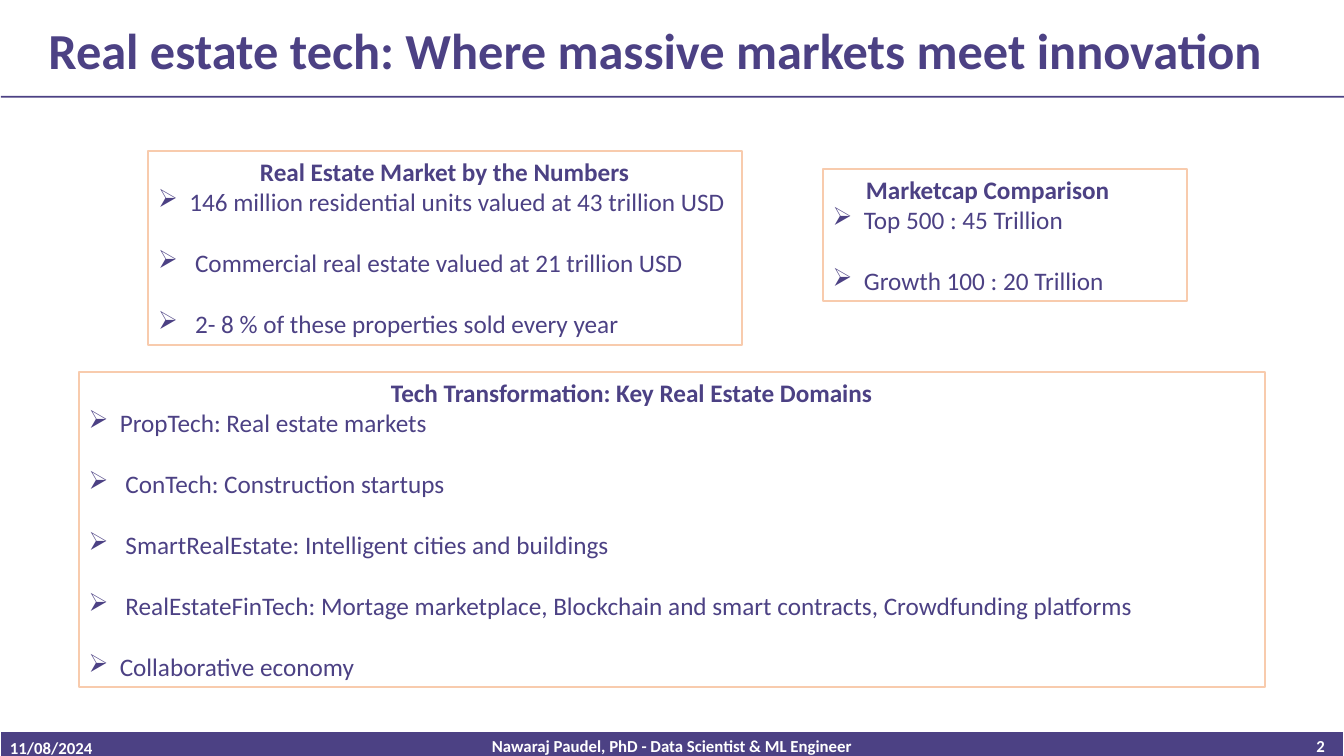
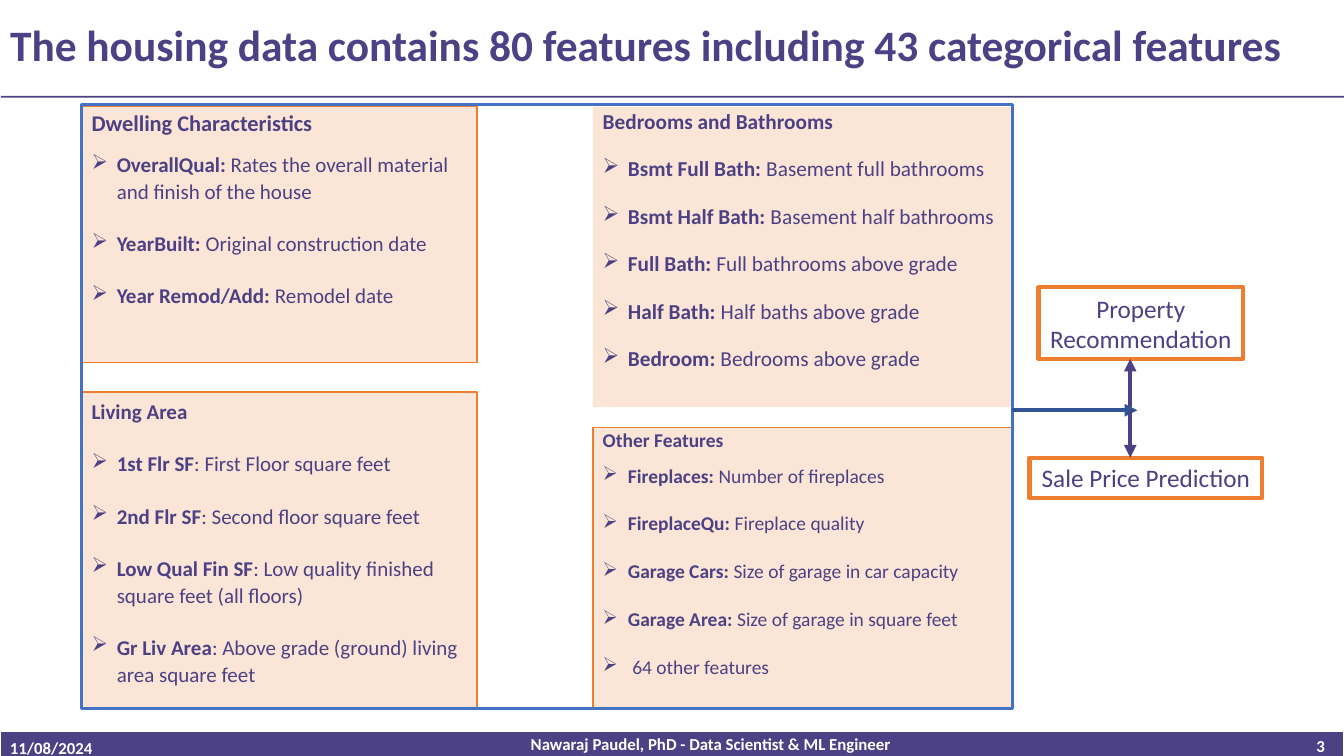
"""Builds two slides on real estate technology and housing data features."""
from dataclasses import dataclass
from typing import NamedTuple

from lxml.etree import SubElement
from pptx import Presentation
from pptx.dml.color import RGBColor
from pptx.enum.shapes import MSO_CONNECTOR, MSO_SHAPE
from pptx.enum.text import MSO_ANCHOR as Anchor, MSO_AUTO_SIZE as AutoSize, PP_ALIGN as Align
from pptx.oxml.ns import qn
from pptx.slide import Slide
from pptx.util import Emu, Pt

PX = 9144
FONT = "Calibri"
PURPLE = RGBColor(0x4C, 0x41, 0x84)
WHITE = RGBColor(0xFF, 0xFF, 0xFF)
PEACH = RGBColor(0xF8, 0xCB, 0xAD)
CREAM = RGBColor(0xFB, 0xE5, 0xD6)
ORANGE = RGBColor(0xED, 0x7D, 0x31)
BLUE = RGBColor(0x44, 0x72, 0xC4)
NAVY = RGBColor(0x2F, 0x55, 0x97)

DATE = "11/08/2024"
AUTHOR = "Nawaraj Paudel, PhD - Data Scientist & ML Engineer"


class Box(NamedTuple):
    left: int
    top: int
    width: int
    height: int

    def emu(self) -> list[Emu]:
        return [Emu(value * PX) for value in self]


class Item(NamedTuple):
    label: str
    text: str


@dataclass(frozen=True)
class Style:
    heading_size: float
    item_size: float
    indent: int
    heading_spacing: float = 1.0
    item_spacing: float = 1.0
    heading_after: float = 0
    item_before: float = 0
    item_after: float = 0


@dataclass(frozen=True)
class Panel:
    box: Box
    heading: str
    items: list[Item]
    style: Style
    fill: RGBColor
    border: RGBColor | None
    border_width: float = 1
    heading_indent: int = 0


@dataclass(frozen=True)
class Arrow:
    start: tuple[int, int]
    end: tuple[int, int]
    color: RGBColor


FACTS = Style(18, 18, indent=31, item_after=22)
DWELLING = Style(16, 15, 25, 0.9, 1.07, 0, 10, 8)
BATHROOMS = Style(15.2, 15.2, 25, 0.87, 0.87, 8, 10, 8)
LIVING = Style(15, 15, 25, 1.07, 1.07, 8, 10, 8)
OTHER = Style(13.9, 13.9, 25, 0.8, 0.97, 0, 10, 8)

MARKET_PANELS = [
    Panel(Box(147, 150, 589, 192), "Real Estate Market by the Numbers", [
        Item("", "146 million residential units valued at 43 trillion USD"),
        Item("", " Commercial real estate valued at 21 trillion USD"),
        Item("", " 2- 8 % of these properties sold every year"),
    ], FACTS, WHITE, PEACH, 1.5, 101),
    Panel(Box(816, 168, 361, 131), "Marketcap Comparison", [
        Item("", "Top 500 : 45 Trillion"),
        Item("", "Growth 100 : 20 Trillion"),
    ], FACTS, WHITE, PEACH, 1.5, 33),
    Panel(Box(78, 369, 1177, 313), "Tech Transformation: Key Real Estate Domains", [
        Item("", "PropTech: Real estate markets"),
        Item("", " ConTech: Construction startups"),
        Item("", " SmartRealEstate: Intelligent cities and buildings"),
        Item("", " RealEstateFinTech: Mortage marketplace, Blockchain and smart contracts, "
                 "Crowdfunding platforms"),
        Item("", "Collaborative economy"),
    ], FACTS, WHITE, PEACH, 1.5, 300),
]

FEATURE_PANELS = [
    Panel(Box(81, 106, 392, 254), "Dwelling Characteristics", [
        Item("OverallQual: ", "Rates the overall material and finish of the house"),
        Item("YearBuilt: ", "Original construction date"),
        Item("Year Remod/Add: ", "Remodel date"),
    ], DWELLING, CREAM, ORANGE),
    Panel(Box(588, 106, 416, 298), "Bedrooms and Bathrooms", [
        Item("Bsmt Full Bath: ", "Basement full bathrooms"),
        Item("Bsmt Half Bath: ", "Basement half bathrooms"),
        Item("Full Bath: ", "Full bathrooms above grade"),
        Item("Half Bath: ", "Half baths above grade"),
        Item("Bedroom:", " Bedrooms above grade"),
    ], BATHROOMS, CREAM, None),
    Panel(Box(81, 389, 392, 315), "Living Area", [
        Item("1st Flr SF", ": First Floor square feet"),
        Item("2nd Flr SF", ": Second floor square feet"),
        Item("Low Qual Fin SF", ": Low quality finished square feet (all floors)"),
        Item("Gr Liv Area", ": Above grade (ground) living area square feet"),
    ], LIVING, CREAM, ORANGE),
    Panel(Box(588, 424, 416, 280), "Other Features", [
        Item("Fireplaces:", " Number of fireplaces"),
        Item("FireplaceQu:", " Fireplace quality"),
        Item("Garage Cars: ", "Size of garage in car capacity"),
        Item("Garage Area: ", "Size of garage in square feet"),
        Item("", " 64 other features"),
    ], OTHER, CREAM, ORANGE),
]

OUTCOMES = [
    (Box(1021, 454, 231, 40), "Sale Price Prediction"),
    (Box(1030, 285, 203, 71), "Property Recommendation"),
]

ARROWS = [
    Arrow((1004, 407), (1128, 407), NAVY),
    Arrow((1121, 407), (1121, 454), PURPLE),
    Arrow((1121, 404), (1121, 356), PURPLE),
]


def set_font(paragraph, size: float, color: RGBColor = PURPLE, bold: bool = False) -> None:
    font = paragraph.font
    font.name, font.size, font.bold = FONT, Pt(size), bold
    font.color.rgb = color


def set_indent(paragraph, left: int, first: int = 0) -> None:
    properties = paragraph._p.get_or_add_pPr()
    properties.set("marL", str(left * PX))
    properties.set("indent", str(first * PX))


def paint(shape, fill: RGBColor | None, border: RGBColor | None, width: float = 1) -> None:
    if fill is None:
        shape.fill.background()
    else:
        shape.fill.solid()
        shape.fill.fore_color.rgb = fill
    if border is None:
        shape.line.fill.background()
    else:
        shape.line.color.rgb = border
        shape.line.width = Pt(width)


def add_rectangle(slide: Slide, box: Box, fill: RGBColor | None,
                  border: RGBColor | None, width: float = 1) -> None:
    shape = slide.shapes.add_shape(MSO_SHAPE.RECTANGLE, *box.emu())
    shape.shadow.inherit = False
    paint(shape, fill, border, width)


def add_text(slide: Slide, box: Box, text: str, size: float, color: RGBColor = PURPLE,
             bold: bool = False, align: Align = Align.LEFT):
    shape = slide.shapes.add_textbox(*box.emu())
    frame = shape.text_frame
    frame.word_wrap = True
    frame.vertical_anchor = Anchor.MIDDLE
    paragraph = frame.paragraphs[0]
    paragraph.text = text
    paragraph.alignment = align
    set_font(paragraph, size, color, bold)
    return shape


def add_item(frame, item: Item, style: Style) -> None:
    paragraph = frame.add_paragraph()
    set_indent(paragraph, style.indent, -style.indent)
    SubElement(paragraph._p.get_or_add_pPr(), qn("a:buChar")).set("char", "➢")
    paragraph.line_spacing = style.item_spacing
    paragraph.space_before = Pt(style.item_before)
    paragraph.space_after = Pt(style.item_after)
    set_font(paragraph, style.item_size)
    if item.label:
        label = paragraph.add_run()
        label.text = item.label
        label.font.bold = True
    paragraph.add_run().text = item.text


def add_panel(slide: Slide, panel: Panel) -> None:
    style = panel.style
    shape = add_text(slide, panel.box, panel.heading, style.heading_size, bold=True)
    paint(shape, panel.fill, panel.border, panel.border_width)
    frame = shape.text_frame
    frame.vertical_anchor = Anchor.TOP
    heading = frame.paragraphs[0]
    set_indent(heading, panel.heading_indent)
    heading.line_spacing = style.heading_spacing
    heading.space_after = Pt(style.heading_after)
    for item in panel.items:
        add_item(frame, item, style)


def add_arrow(slide: Slide, arrow: Arrow) -> None:
    ends = [Emu(value * PX) for value in (*arrow.start, *arrow.end)]
    connector = slide.shapes.add_connector(MSO_CONNECTOR.STRAIGHT, *ends)
    connector.line.color.rgb = arrow.color
    connector.line.width = Pt(3)
    properties = connector._element.spPr
    SubElement(properties.find(qn("a:ln")), qn("a:tailEnd")).set("type", "triangle")
    SubElement(properties, qn("a:effectLst"))


def add_base_slide(presentation, title: str, title_box: Box, title_size: float,
                   author_box: Box, number: int) -> Slide:
    slide = presentation.slides.add_slide(presentation.slide_layouts[5])
    add_rectangle(slide, Box(1, 95, 1333, 2), PURPLE, None)
    add_rectangle(slide, Box(0, 726, 1333, 29), PURPLE, WHITE)
    shape = slide.shapes.title
    shape.left, shape.top, shape.width, shape.height = title_box.emu()
    frame = shape.text_frame
    frame.text = title
    frame.word_wrap = True
    frame.auto_size = AutoSize.NONE
    frame.vertical_anchor = Anchor.MIDDLE
    paragraph = frame.paragraphs[0]
    paragraph.alignment = Align.LEFT
    paragraph.line_spacing = 0.9
    set_font(paragraph, title_size, bold=True)
    for box, text, align in (
        (Box(0, 729, 294, 25), DATE, Align.LEFT),
        (author_box, AUTHOR, Align.CENTER),
        (Box(1030, 727, 294, 25), str(number), Align.RIGHT),
    ):
        add_text(slide, box, text, 12, WHITE, True, align)
    return slide


def build_market_slide(presentation) -> None:
    slide = add_base_slide(presentation, "Real estate tech: Where massive markets meet innovation",
                           Box(38, 1, 1295, 103), 36, Box(444, 722, 445, 36), 2)
    for panel in MARKET_PANELS:
        add_panel(slide, panel)


def build_features_slide(presentation) -> None:
    slide = add_base_slide(
        presentation, "The housing data contains 80 features including 43 categorical features",
        Box(0, -6, 1333, 107), 31, Box(482, 727, 446, 22), 3)
    for panel in FEATURE_PANELS:
        add_panel(slide, panel)
    add_rectangle(slide, Box(81, 104, 923, 599), None, BLUE, 2.25)
    for box, text in OUTCOMES:
        paint(add_text(slide, box, text, 18, align=Align.CENTER), WHITE, ORANGE, 3)
    for arrow in ARROWS:
        add_arrow(slide, arrow)


def main() -> None:
    presentation = Presentation()
    presentation.slide_width, presentation.slide_height = Emu(1333 * PX), Emu(750 * PX)
    build_market_slide(presentation)
    build_features_slide(presentation)
    presentation.save("out.pptx")


if __name__ == "__main__":
    main()
